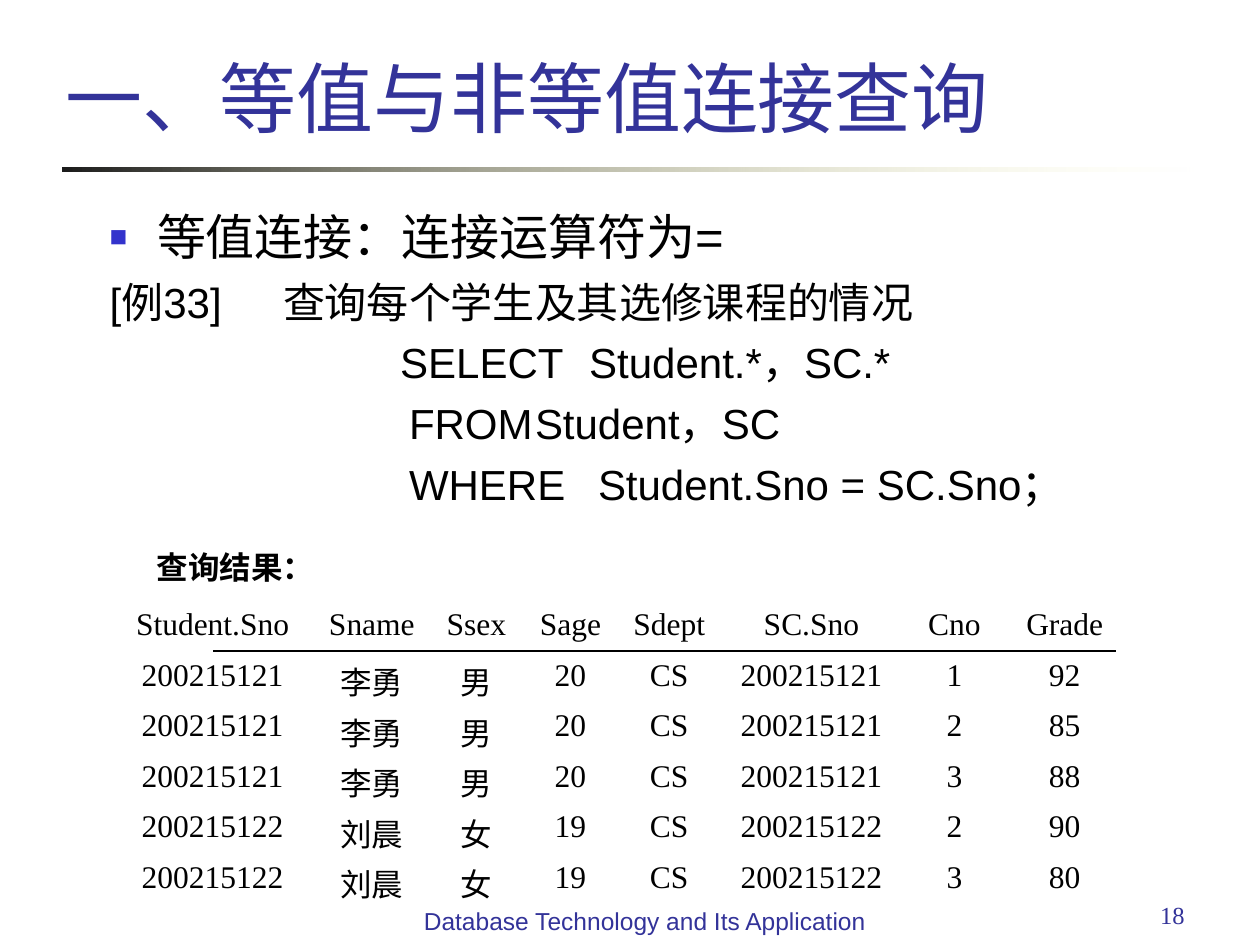
from lxml import etree
from pptx import Presentation
from pptx.dml.color import RGBColor
from pptx.enum import shapes, text
from pptx.oxml import ns
from pptx.util import Pt

NAVY, BLUE, BLACK = "333399", "3333CC", "000000"
SANS, SERIF = "Arial", "Times New Roman"
LEFT, CENTER, RIGHT = text.PP_ALIGN.LEFT, text.PP_ALIGN.CENTER, text.PP_ALIGN.RIGHT
JUSTIFY = text.PP_ALIGN.JUSTIFY

# text, size, alignment, space before, left margin, first-line indent, tab stop
BODY_LINES = [
    ("等值连接：连接运算符为=", 28, JUSTIFY, 7, 27, -27, None),
    ("[例33]\t查询每个学生及其选修课程的情况", 24, JUSTIFY, 6, 27, -27, 95),
    ("SELECT\tStudent.*，SC.*", 24, JUSTIFY, 6, 166, 0, 273),
    ("FROM\tStudent，SC", 24, LEFT, 6, 171, 0, 275),
    ("WHERE\tStudent.Sno = SC.Sno；", 24, LEFT, 6, 171, 0, 275),
]
COLUMN_WIDTHS = [113, 69, 50.5, 57, 56, 106.5, 57, 69]
ROW_HEIGHT = 28.9
RESULT_ROWS = [
    "Student.Sno Sname Ssex Sage Sdept SC.Sno Cno Grade",
    "200215121 李勇 男 20 CS 200215121 1 92",
    "200215121 李勇 男 20 CS 200215121 2 85",
    "200215121 李勇 男 20 CS 200215121 3 88",
    "200215122 刘晨 女 19 CS 200215122 2 90",
    "200215122 刘晨 女 19 CS 200215122 3 80",
]


def color(value):
    return RGBColor.from_string(value)


def place(part, left, top, width, height):
    part.left, part.top = Pt(left), Pt(top)
    part.width, part.height = Pt(width), Pt(height)


def style(paragraph, size, face, ink, align, bold=False):
    paragraph.alignment = align
    font = paragraph.font
    font.size, font.name, font.bold = Pt(size), face, bold
    font.color.rgb = color(ink)


def add_label(slide, words, box, size, face, ink, align, bold=False, wrap=True):
    label = slide.shapes.add_textbox(*map(Pt, box))
    label.text_frame.word_wrap = wrap
    label.text_frame.text = words
    style(label.text_frame.paragraphs[0], size, face, ink, align, bold)


def sub(parent, tag, **attributes):
    return etree.SubElement(parent, ns.qn(tag), attributes)


def indent(paragraph, margin, first, bullet=False, tab=None):
    props = paragraph._p.get_or_add_pPr()
    props.set("marL", str(Pt(margin)))
    props.set("indent", str(Pt(first)))
    if bullet:
        sub(sub(props, "a:buClr"), "a:srgbClr", val=BLUE)
        sub(props, "a:buSzPct", val="60000")
        sub(props, "a:buFont", typeface=SANS)
        sub(props, "a:buChar", char="■")
    else:
        sub(props, "a:buNone")
    if tab:
        sub(sub(props, "a:tabLst"), "a:tab", pos=str(Pt(tab)), algn="l")


def add_title_rule(slide):
    rule = slide.shapes.add_shape(shapes.MSO_SHAPE.RECTANGLE, Pt(36), Pt(95.6), Pt(648), Pt(2.5))
    rule.shadow.inherit = False
    rule.line.fill.background()
    rule.fill.gradient()
    rule.fill.gradient_angle = 0
    dark, pale = rule.fill.gradient_stops
    dark.position, pale.position = 0, 1
    dark.color.rgb, pale.color.rgb = color("1C1C1C"), color("FFFFB7")
    # The pale end fades out completely
    pale_color = rule.fill._xPr.findall(".//" + ns.qn("a:srgbClr"))[-1]
    sub(pale_color, "a:alpha", val="0")


def fill_title(title):
    place(title, 30, 0, 632, 85)
    frame = title.text_frame
    frame.text = "一、等值与非等值连接查询"
    frame.vertical_anchor = text.MSO_ANCHOR.BOTTOM
    frame.auto_size = text.MSO_AUTO_SIZE.NONE
    style(frame.paragraphs[0], 44, SANS, NAVY, LEFT)


def fill_body(body):
    place(body, 55.5, 114.5, 637, 181.5)
    frame = body.text_frame
    frame.auto_size = text.MSO_AUTO_SIZE.NONE
    frame.text = "\n".join(line[0] for line in BODY_LINES)
    for number, (paragraph, line) in enumerate(zip(frame.paragraphs, BODY_LINES)):
        _, size, align, before, margin, first, tab = line
        style(paragraph, size, SANS, BLACK, align)
        paragraph.space_before = Pt(before)
        indent(paragraph, margin, first, bullet=number == 0, tab=tab)


def add_result_table(slide):
    frame = slide.shapes.add_table(
        len(RESULT_ROWS), len(COLUMN_WIDTHS), Pt(65), Pt(343.5),
        Pt(sum(COLUMN_WIDTHS)), Pt(ROW_HEIGHT * len(RESULT_ROWS)))
    table = frame.table
    table.first_row = table.horz_banding = False
    for column, width in zip(table.columns, COLUMN_WIDTHS):
        column.width = Pt(width)
    for row, record in zip(table.rows, RESULT_ROWS):
        row.height = Pt(ROW_HEIGHT)
        for cell, value in zip(row.cells, record.split()):
            cell.fill.background()
            cell.text = value
            style(cell.text_frame.paragraphs[0], 18, SERIF, BLACK, CENTER)


def add_header_line(slide):
    line = slide.shapes.add_connector(
        shapes.MSO_CONNECTOR.STRAIGHT, Pt(122), Pt(372), Pt(638), Pt(372))
    line.line.color.rgb = color(BLACK)
    line.line.width = Pt(0.75)
    sub(line._element.spPr, "a:effectLst")


def main():
    deck = Presentation()
    deck.slide_width, deck.slide_height = Pt(720), Pt(540)
    slide = deck.slides.add_slide(deck.slide_layouts[1])

    # Heading and query
    add_title_rule(slide)
    fill_title(slide.shapes.title)
    fill_body(slide.placeholders[1])

    # Query result
    add_label(slide, "查询结果：", (55.5, 309.5, 158, 29), 18, SERIF, BLACK, CENTER,
              bold=True, wrap=False)
    add_result_table(slide)
    add_header_line(slide)

    # Footer
    add_label(slide, "18", (516, 510.5, 168, 37.5), 14, SERIF, NAVY, RIGHT)
    add_label(slide, "Database Technology and Its Application",
              (229.5, 514, 278, 37.5), 14, SANS, NAVY, CENTER)
    deck.save("out.pptx")


if __name__ == "__main__":
    main()
